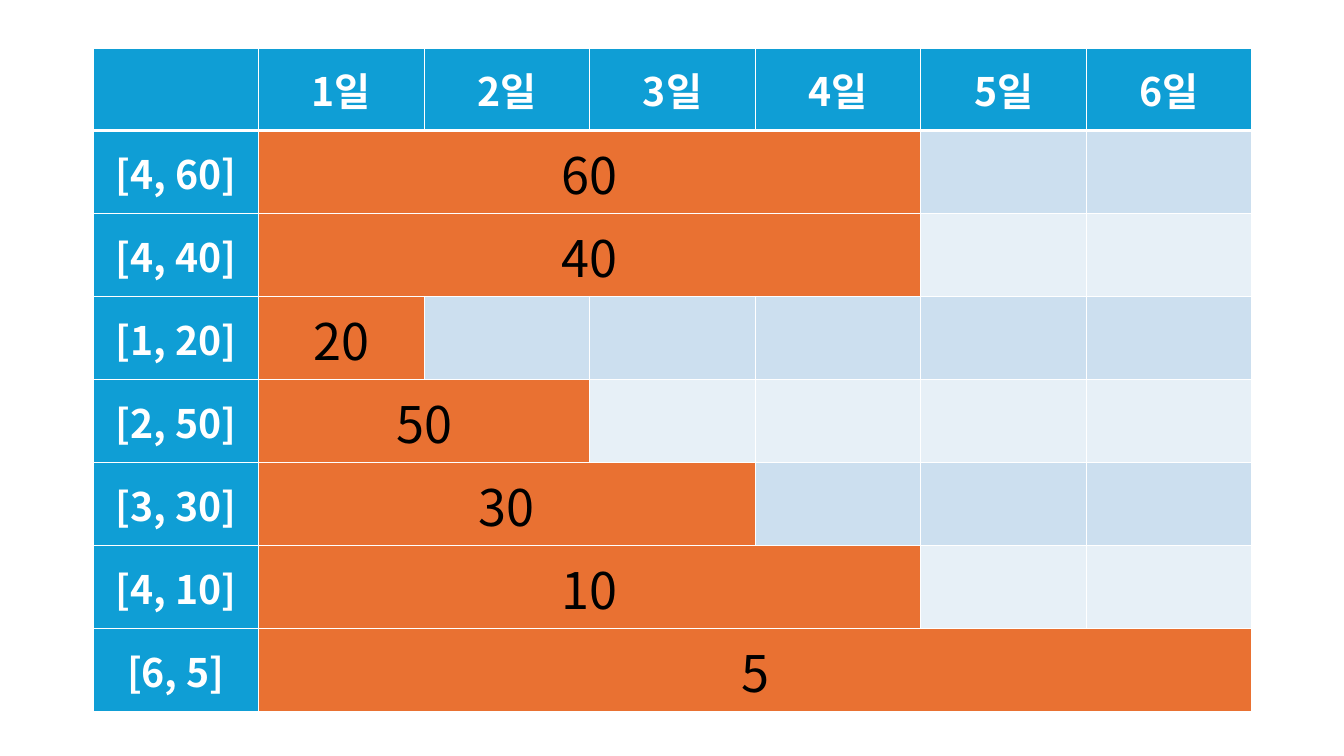
import pptx
import pptx.util
import pptx.dml.color
import pptx.enum.text
import pptx.oxml.ns
import lxml.etree

PX = 914400 / 100.8
FONT = "Noto Sans CJK KR"
COLORS = {
    "header": "0F9ED5",
    "bar": "E97132",
    "odd": "CCDFEF",
    "even": "E7F0F7",
    "white": "FFFFFF",
    "black": "000000",
}
DAYS = 6
JOBS = [(4, 60), (4, 40), (1, 20), (2, 50), (3, 30), (4, 10), (6, 5)]


def px(length):
    return pptx.util.Emu(round(length * PX))


def style_cell(cell, fill, widths, text="", size=28, color="white", bold=True):
    cell.vertical_anchor = pptx.enum.text.MSO_ANCHOR.MIDDLE
    properties = cell._tc.get_or_add_tcPr()
    qn = pptx.oxml.ns.qn
    for side, width in zip("LRTB", widths):
        border = lxml.etree.SubElement(properties, qn(f"a:ln{side}"), w=str(pptx.util.Pt(width)))
        solid = lxml.etree.SubElement(border, qn("a:solidFill"))
        lxml.etree.SubElement(solid, qn("a:srgbClr"), val=COLORS["white"])
    cell.fill.solid()
    cell.fill.fore_color.rgb = pptx.dml.color.RGBColor.from_string(COLORS[fill])
    if text:
        cell.text = text
        para = cell.text_frame.paragraphs[0]
        para.alignment = pptx.enum.text.PP_ALIGN.CENTER
        para.font.size = pptx.util.Pt(size)
        para.font.bold = bold
        para.font.name = FONT
        para.font.color.rgb = pptx.dml.color.RGBColor.from_string(COLORS[color])
        span = para.runs[0]
        span.font.size = pptx.util.Pt(size)
        span.font.bold = bold
        span.font.name = FONT
        span.font.color.rgb = pptx.dml.color.RGBColor.from_string(COLORS[color])
        lxml.etree.SubElement(span.font._element, qn("a:ea"), typeface=FONT)


deck = pptx.Presentation()
deck.slide_width = px(1344)
deck.slide_height = px(756)
page = deck.slides.add_slide(deck.slide_layouts[6])

frame = page.shapes.add_table(len(JOBS) + 1, DAYS + 1, px(93), px(48), px(1159), px(660))
schedule = frame.table
schedule.horz_banding = False

for day in range(DAYS + 1):
    label = f"{day}일" if day else ""
    style_cell(schedule.cell(0, day), "header", (1, 1, 1, 3), label)

for row, (length, value) in enumerate(JOBS, start=1):
    widths = (1, 1, 3 if row == 1 else 1, 1)
    style_cell(schedule.cell(row, 0), "header", widths, f"[{length}, {value}]")
    for day in range(1, DAYS + 1):
        cell = schedule.cell(row, day)
        if day == 1:
            style_cell(cell, "bar", widths, str(value), 36, "black", False)
        elif day <= length:
            style_cell(cell, "bar", widths)
        else:
            style_cell(cell, "odd" if row % 2 else "even", widths)
    if length > 1:
        schedule.cell(row, 1).merge(schedule.cell(row, length))

deck.save("out.pptx")
